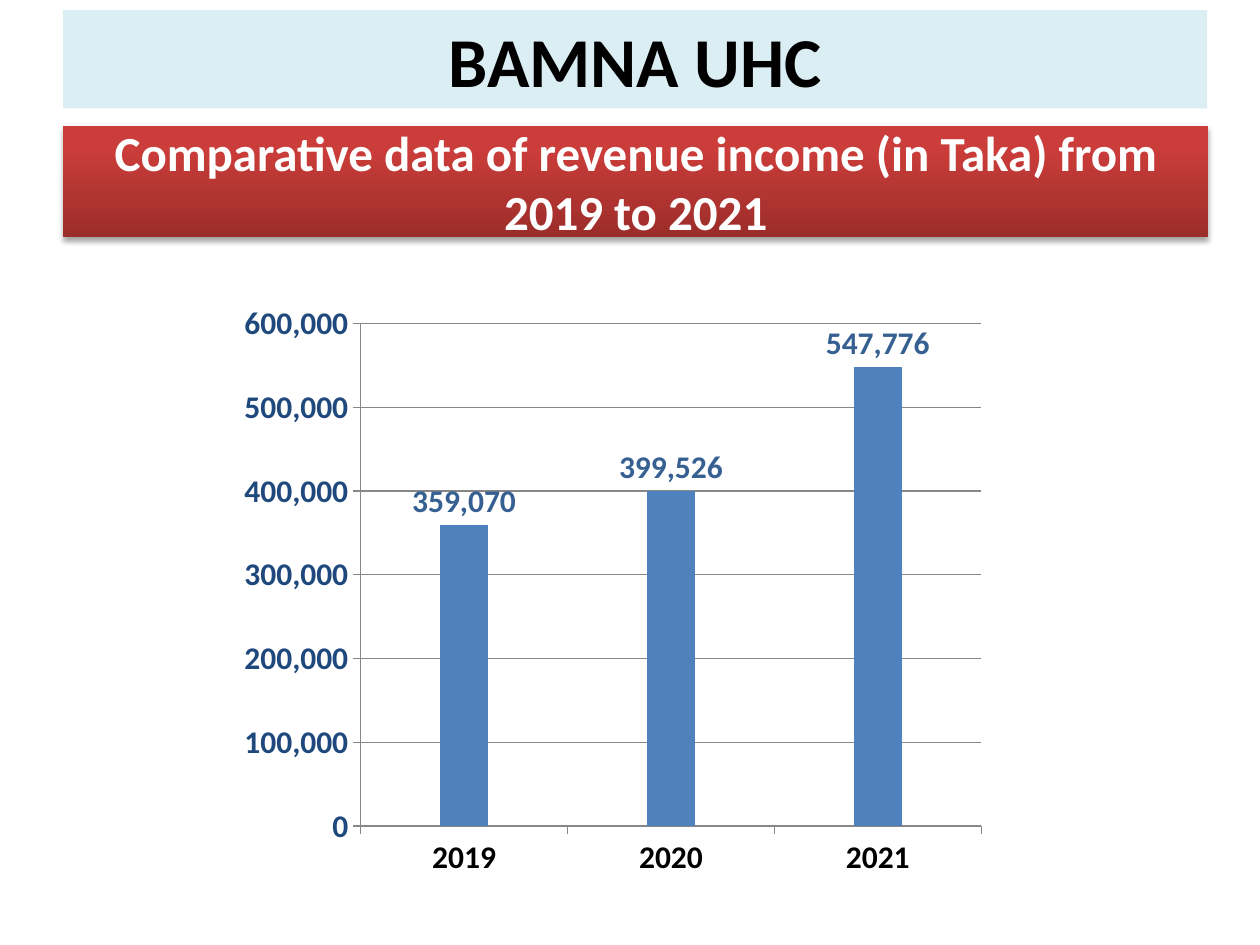
from dataclasses import dataclass

import lxml.etree
import pptx
import pptx.chart.data
import pptx.dml.color
import pptx.enum.chart
import pptx.enum.shapes
import pptx.enum.text
import pptx.oxml
import pptx.oxml.ns
import pptx.util

Inches, Pt = pptx.util.Inches, pptx.util.Pt
FONT = "Calibri"
GRID_COLOR = "878787"


@dataclass
class Banner:
    text: str
    left: float
    top: float
    width: float
    height: float
    size: int
    color: str


def rgb(value: str) -> pptx.dml.color.RGBColor:
    return pptx.dml.color.RGBColor.from_string(value)


def style_font(font, size: int, color: str, bold: bool = True) -> None:
    font.name, font.size, font.bold = FONT, Pt(size), bold
    font.color.rgb = rgb(color)


def style_line(line, color: str) -> None:
    line.color.rgb = rgb(color)
    line.width = Pt(0.75)


def write_banner(shape, banner: Banner) -> None:
    shape.left, shape.top = Inches(banner.left), Inches(banner.top)
    shape.width, shape.height = Inches(banner.width), Inches(banner.height)
    shape.line.fill.background()
    frame = shape.text_frame
    frame.text = banner.text
    frame.word_wrap = True
    frame.auto_size = pptx.enum.text.MSO_AUTO_SIZE.NONE
    frame.vertical_anchor = pptx.enum.text.MSO_ANCHOR.MIDDLE
    frame.margin_left = frame.margin_right = Inches(0.07)
    frame.margin_top = frame.margin_bottom = Inches(0.04)
    paragraph = frame.paragraphs[0]
    paragraph.alignment = pptx.enum.text.PP_ALIGN.CENTER
    style_font(paragraph.font, banner.size, banner.color)


def add_soft_shadow(shape) -> None:
    shape._element.spPr.append(pptx.oxml.parse_xml(
        f'<a:effectLst {pptx.oxml.ns.nsdecls("a")}>'
        '<a:outerShdw blurRad="40000" dist="23000" dir="5400000" rotWithShape="0">'
        '<a:srgbClr val="000000"><a:alpha val="35000"/></a:srgbClr>'
        '</a:outerShdw></a:effectLst>'))


def place_plot(chart, x: float, y: float, w: float, h: float) -> None:
    """Fix the inner plot area as fractions of the chart."""
    plot_area = chart._chartSpace.chart.plotArea
    for old in plot_area.findall(pptx.oxml.ns.qn("c:layout")):
        plot_area.remove(old)
    layout = pptx.oxml.parse_xml(
        f'<c:layout {pptx.oxml.ns.nsdecls("c")}><c:manualLayout>'
        '<c:layoutTarget val="inner"/><c:xMode val="edge"/><c:yMode val="edge"/>'
        f'<c:x val="{x}"/><c:y val="{y}"/><c:w val="{w}"/><c:h val="{h}"/>'
        '</c:manualLayout></c:layout>')
    plot_area.insert(0, layout)


def add_revenue_chart(slide) -> None:
    data = pptx.chart.data.CategoryChartData(number_format="#,##0")
    data.categories = ["2019", "2020", "2021"]
    data.add_series("Series 1", [359070, 399526, 547776])
    chart = slide.shapes.add_chart(
        pptx.enum.chart.XL_CHART_TYPE.COLUMN_CLUSTERED,
        Inches(1.83), Inches(2.33), Inches(6.08), Inches(4.75), data).chart
    chart.has_legend = chart.has_title = False
    style_font(chart.font, 18, "000000", bold=False)
    place_plot(chart, 0.17, 0.05, 0.81, 0.84)

    # Axes
    years, taka = chart.category_axis, chart.value_axis
    for axis, color in ((years, "000000"), (taka, "1F497D")):
        style_font(axis.tick_labels.font, 18, color)
        style_line(axis.format.line, GRID_COLOR)
        axis.major_tick_mark = pptx.enum.chart.XL_TICK_MARK.OUTSIDE
        axis.minor_tick_mark = pptx.enum.chart.XL_TICK_MARK.NONE
    years.has_major_gridlines = False
    taka.has_major_gridlines = True
    style_line(taka.major_gridlines.format.line, GRID_COLOR)
    taka.minimum_scale, taka.maximum_scale, taka.major_unit = 0, 600000, 100000
    taka.tick_labels.number_format = "#,##0"
    taka.tick_labels.number_format_is_linked = False

    # Columns and their labels
    plot = chart.plots[0]
    plot.gap_width = 335
    plot.vary_by_categories = False
    revenue = plot.series[0]
    revenue.format.fill.solid()
    revenue.format.fill.fore_color.rgb = rgb("4F81BD")
    labels = revenue.data_labels
    labels.show_value = True
    labels.number_format = "#,##0"
    labels.number_format_is_linked = False
    labels.position = pptx.enum.chart.XL_LABEL_POSITION.OUTSIDE_END
    style_font(labels.font, 18, "376092")


def main() -> None:
    presentation = pptx.Presentation()
    presentation.slide_width, presentation.slide_height = Inches(10), Inches(7.5)
    slide = presentation.slides.add_slide(presentation.slide_layouts[5])

    # Red title banner
    title = slide.shapes.title
    write_banner(title, Banner(
        "Comparative data of revenue income (in Taka) from 2019 to 2021",
        0.5, 1, 9.09, 0.88, 28, "FFFFFF"))
    title.fill.gradient()
    title.fill.gradient_angle = 90
    shades = (("9B2D2A", 0), ("CB3D3A", 0.8))
    for stop, (color, position) in zip(title.fill.gradient_stops, shades):
        stop.color.rgb = rgb(color)
        stop.position = position
    add_soft_shadow(title)

    add_revenue_chart(slide)

    # Health complex name
    complex_name = slide.shapes.add_shape(
        pptx.enum.shapes.MSO_SHAPE.RECTANGLE, 0, 0, 0, 0)
    write_banner(complex_name, Banner(
        "BAMNA UHC", 0.5, 0.08, 9.08, 0.78, 40, "000000"))
    complex_name.fill.solid()
    complex_name.fill.fore_color.rgb = rgb("DBEEF4")
    complex_name.shadow.inherit = False

    presentation.save("out.pptx")


if __name__ == "__main__":
    main()
